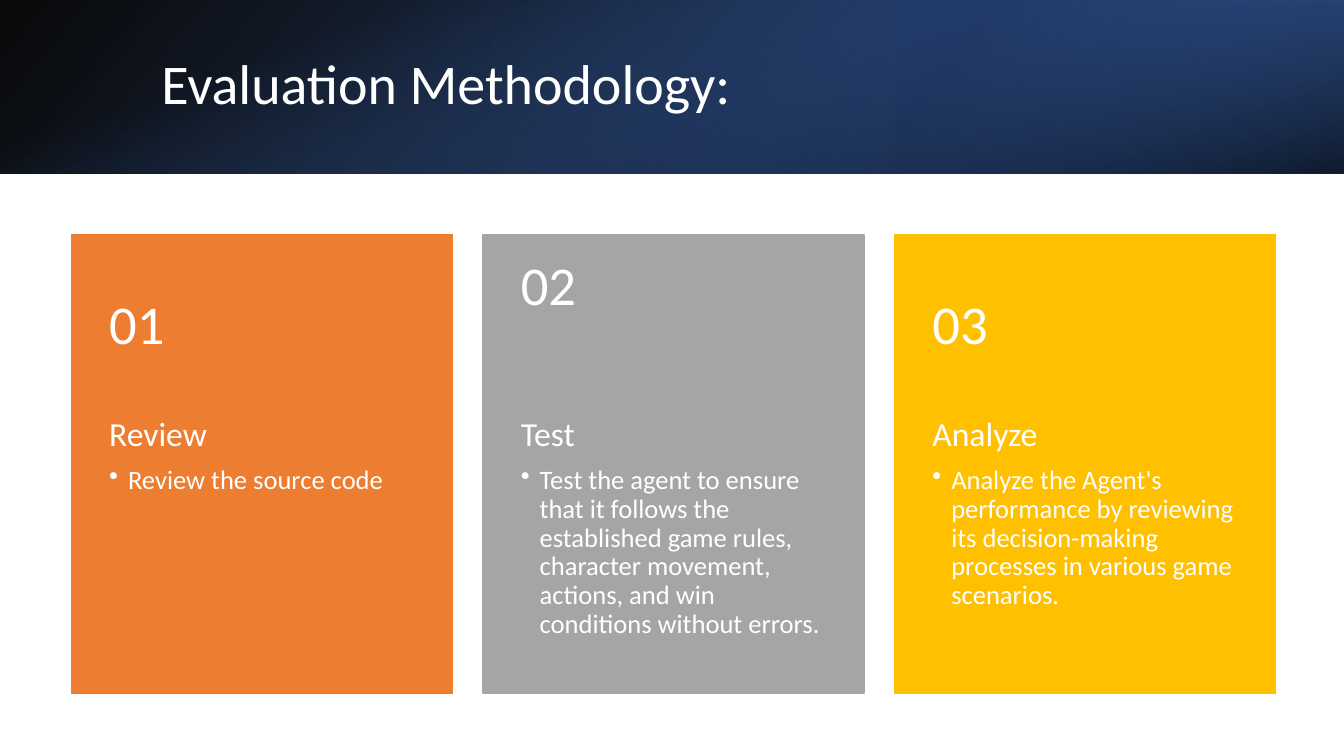
"""Build the evaluation methodology slide: a gradient header over three numbered cards."""
from lxml import etree
from pptx import Presentation
from pptx.dml.color import RGBColor
from pptx.enum.shapes import MSO_SHAPE
from pptx.enum.text import MSO_ANCHOR, PP_ALIGN
from pptx.oxml.ns import qn
from pptx.util import Pt

RECTANGLE = MSO_SHAPE.RECTANGLE
TOP, MIDDLE = MSO_ANCHOR.TOP, MSO_ANCHOR.MIDDLE
LEFT = PP_ALIGN.LEFT
PX = 9525
THEME = {
    "font": "Calibri",
    "text": "FFFFFF",
    "black": "000000",
    "blue": "4472C4",
    "deep_blue": "2F5597",
    "navy": "203864",
    "cards": ["ED7D31", "A5A5A5", "FFC000"],
    "title": 40,
    "number": 39,
    "heading": 24,
    "bullet": 19,
}


def style(para, size):
    """Format a paragraph in the theme's font."""
    para.alignment = LEFT
    para.line_spacing = 0.9
    para.font.name = THEME["font"]
    para.font.size = Pt(THEME[size])
    para.font.color.rgb = RGBColor.from_string(THEME["text"])


def add_text(page, bounds, insets, anchor):
    """Add a wrapping text box and return its text frame."""
    frame = page.shapes.add_textbox(*[value * PX for value in bounds]).text_frame
    frame.word_wrap = True
    frame.vertical_anchor = anchor
    frame.margin_left, frame.margin_top, frame.margin_right, frame.margin_bottom = [
        value * PX for value in insets]
    return frame


deck = Presentation()
deck.slide_width, deck.slide_height = 1280 * PX, 720 * PX
page = deck.slides.add_slide(deck.slide_layouts[5])

HEADER_LAYERS = [
    ((0, 0, 1280, 165), 0, True, 140, [(0, "black", 96), (100, "deep_blue", 100)]),
    ((853, 0, 427, 165), 180, True, 320, [(19, "navy", 68), (100, "blue", 79)]),
    ((557, -557, 165, 1280), 90, False, 340, [(23, "blue", 0), (99, "black", 74)]),
]
for bounds, rotation, flipped, angle, stops in HEADER_LAYERS:
    layer = page.shapes.add_shape(RECTANGLE, *[value * PX for value in bounds])
    layer.shadow.inherit = False
    layer.line.fill.background()
    layer.rotation = rotation
    if flipped:
        layer.element.spPr.xfrm.set("flipH", "1")
    layer.fill.gradient()
    layer.fill.gradient_angle = 360 - angle
    for stop, (position, color, opacity) in zip(layer.fill.gradient_stops, stops):
        stop.position = position / 100
        stop.color.rgb = RGBColor.from_string(THEME[color])
    for node, (position, color, opacity) in zip(layer.element.iter(qn("a:srgbClr")), stops):
        etree.SubElement(node, qn("a:alpha"), val=str(opacity * 1000))

title = page.shapes.title
title.left, title.top, title.width, title.height = [
    value * PX for value in (144, 36, 1054, 92)]
title.text_frame.text = "Evaluation Methodology:"
title.text_frame.vertical_anchor = MIDDLE
style(title.text_frame.paragraphs[0], "title")
page.shapes._spTree.append(title.element)

CARD_LEFT, CARD_TOP, CARD_WIDTH, CARD_HEIGHT, CARD_STEP = 68, 224, 363, 436, 392
NUMBER_HEIGHT = 174
SIDE_INSET, NUMBER_INSET, INDENT = 36, 17, 18
CARDS = [
    ("01", "Review", "Review the source code", 0),
    ("02", "Test", "Test the agent to ensure that it follows the established game rules, "
     "character movement, actions, and win conditions without errors.", 74),
    ("03", "Analyze", "Analyze the Agent's performance by reviewing its decision-making "
     "processes in various game scenarios.", 0),
]
for index, (number, heading, detail, lift) in enumerate(CARDS):
    left = CARD_LEFT + index * CARD_STEP
    color = RGBColor.from_string(THEME["cards"][index])
    card = page.shapes.add_shape(
        RECTANGLE, left * PX, CARD_TOP * PX, CARD_WIDTH * PX, CARD_HEIGHT * PX)
    card.shadow.inherit = False
    card.fill.solid()
    card.fill.fore_color.rgb = color
    card.line.color.rgb = color
    card.line.width = Pt(1)

    body = add_text(
        page,
        (left, CARD_TOP + NUMBER_HEIGHT, CARD_WIDTH, CARD_HEIGHT - NUMBER_HEIGHT),
        (SIDE_INSET, 0, SIDE_INSET, 35), TOP)
    para = body.paragraphs[0]
    para.text = heading
    para.space_after = Pt(9)
    style(para, "heading")
    para = body.add_paragraph()
    para.text = detail
    para.level = 1
    properties = para._p.get_or_add_pPr()
    properties.set("marL", str(INDENT * PX))
    properties.set("indent", str(-INDENT * PX))
    etree.SubElement(properties, qn("a:buChar"), char="•")
    style(para, "bullet")

    label = add_text(
        page, (left, CARD_TOP, CARD_WIDTH, NUMBER_HEIGHT),
        (SIDE_INSET, NUMBER_INSET, SIDE_INSET, NUMBER_INSET + lift), MIDDLE)
    label.text = number
    style(label.paragraphs[0], "number")

deck.save("out.pptx")
